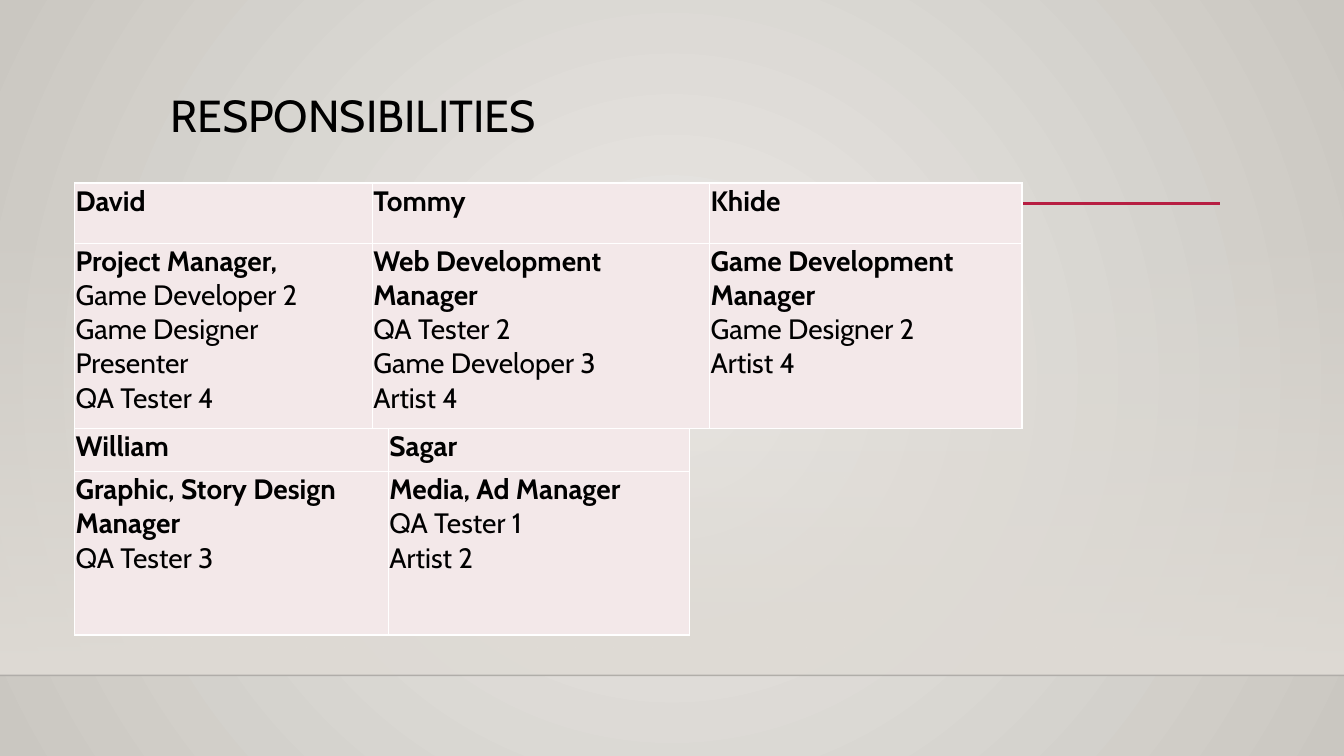
from dataclasses import dataclass

from lxml import etree
from pptx import Presentation
from pptx import util as u
from pptx.dml.color import RGBColor
from pptx.enum import shapes, text
from pptx.oxml.ns import qn


@dataclass(frozen=True)
class Theme:
    font: str = "Cabin"
    ink: str = "000000"
    accent: str = "B71E42"
    center: str = "ECEAE7"
    edge: str = "CAC7C1"
    floor: str = "DFDBD5"
    floor_line: str = "000001"
    cell: str = "F3E8E9"
    border: str = "FFFFFF"
    title_size: int = 32
    body_size: int = 20


def add_node(parent, tag, **attributes):
    return etree.SubElement(parent, qn(tag), attributes)


def set_opacity(element, percent):
    """Give a colour element an opacity in percent."""
    add_node(element, "a:alpha", val=str(percent * 1000))


def apply(target, values):
    for name, value in values.items():
        setattr(target, name, value)


class SlideBuilder:
    """Places elements by percent of the slide's width and height."""

    def __init__(self, deck, theme):
        self.deck, self.theme = deck, theme
        self.page = deck.slides.add_slide(deck.slide_layouts[6])

    def x(self, share):
        return round(self.deck.slide_width * share / 100)

    def y(self, share):
        return round(self.deck.slide_height * share / 100)

    def area(self, left, top, width, height):
        return self.x(left), self.y(top), self.x(width), self.y(height)

    def gradient(self, fill, colors):
        fill.gradient()
        for stop, color in zip(fill.gradient_stops, colors):
            stop.color.rgb = RGBColor.from_string(color)

    def background(self):
        self.gradient(self.page.background.fill, (self.theme.center, self.theme.edge))
        grad = self.page.element.find(".//" + qn("a:gradFill"))
        grad.remove(grad.find(qn("a:lin")))
        circle = add_node(grad, "a:path", path="circle")
        add_node(circle, "a:fillToRect", l="50000", t="50000", r="50000", b="50000")

    def fading_panel(self, *area):
        """Add a rectangle that fades in from top to bottom."""
        panel = self.page.shapes.add_shape(
            shapes.MSO_SHAPE.RECTANGLE, *self.area(*area))
        panel.shadow.inherit = False
        panel.line.fill.background()
        self.gradient(panel.fill, [self.theme.floor] * 2)
        panel.fill.gradient_angle = 270
        set_opacity(next(panel.element.spPr.iter(qn("a:srgbClr"))), 0)

    def rule(self, left, right, top, color, width, opacity=100):
        line = self.page.shapes.add_connector(
            shapes.MSO_CONNECTOR.STRAIGHT,
            self.x(left), self.y(top), self.x(right), self.y(top))
        line.line.color.rgb = RGBColor.from_string(color)
        line.line.width = u.Pt(width)
        properties = line.element.spPr
        if opacity < 100:
            set_opacity(next(properties.iter(qn("a:srgbClr"))), opacity)
        add_node(properties, "a:effectLst")

    def span(self, para, words, size, bold=False):
        span = para.add_run()
        span.text = words
        apply(span.font, {"name": self.theme.font, "size": u.Pt(size), "bold": bold})
        span.font.color.rgb = RGBColor.from_string(self.theme.ink)

    def title(self, words, *area):
        box = self.page.shapes.add_textbox(*self.area(*area))
        apply(box.text_frame, {"word_wrap": True,
                               "vertical_anchor": text.MSO_ANCHOR.TOP})
        para = box.text_frame.paragraphs[0]
        para.line_spacing = 0.9
        self.span(para, words, self.theme.title_size)

    def cell(self, cell, lines):
        """Fill a cell with lines, the first of them bold."""
        inset = u.Inches(0.01)
        apply(cell, {"margin_left": inset, "margin_right": inset,
                     "margin_top": inset, "margin_bottom": 0,
                     "vertical_anchor": text.MSO_ANCHOR.TOP})
        para = cell.text_frame.paragraphs[0]
        for index, line in enumerate(lines):
            if index:
                para.add_line_break()
            self.span(para, line, self.theme.body_size, bold=index == 0)
        properties = cell._tc.get_or_add_tcPr()
        for side in "LRTB":
            border = add_node(properties, f"a:ln{side}", w=str(u.Pt(1)))
            add_node(add_node(border, "a:solidFill"), "a:srgbClr",
                     val=self.theme.border)
        cell.fill.solid()
        cell.fill.fore_color.rgb = RGBColor.from_string(self.theme.cell)

    def roles_table(self, left, top, widths, heights, roles):
        """Add a table with names above and their duties below."""
        frame = self.page.shapes.add_table(
            2, len(roles), *self.area(left, top, sum(widths), sum(heights)))
        table = frame.table
        apply(table, {"first_row": False, "horz_banding": False})
        for row, height in zip(table.rows, heights):
            row.height = self.y(height)
        for index, (name, duties) in enumerate(roles.items()):
            table.columns[index].width = self.x(widths[index])
            self.cell(table.cell(0, index), [name])
            self.cell(table.cell(1, index), duties)


LEADS = {
    "David": ["Project Manager,", "Game Developer 2", "Game Designer",
              "Presenter", "QA Tester 4"],
    "Tommy": ["Web Development Manager", "QA Tester 2", "Game Developer 3",
              "Artist 4"],
    "Khide": ["Game Development Manager", "Game Designer 2", "Artist 4"],
}
CREATIVES = {
    "William": ["Graphic, Story Design Manager", "QA Tester 3"],
    "Sagar": ["Media, Ad Manager", "QA Tester 1", "Artist 2"],
}


def main():
    deck = Presentation()
    apply(deck, {"slide_width": u.Inches(13.33), "slide_height": u.Inches(7.5)})
    theme = Theme()
    slide = SlideBuilder(deck, theme)
    floor, margin, table_left = 89.33, 11.93, 5.55

    slide.background()
    slide.fading_panel(0, 29.47, 100, floor - 29.47)
    slide.rule(0, 100, floor, theme.floor_line, 1, opacity=20)
    slide.rule(margin, 90.77, 26.93, theme.accent, 2.5)
    slide.title("RESPONSIBILITIES", margin, 11.73, 78.77, 15.33)
    slide.roles_table(table_left, 24.2, (22.15, 25.1, 23.25), (8, 24.5), LEADS)
    slide.roles_table(table_left, 56.7, (23.35, 22.4), (5.7, 21.6), CREATIVES)
    deck.save("out.pptx")


if __name__ == "__main__":
    main()
